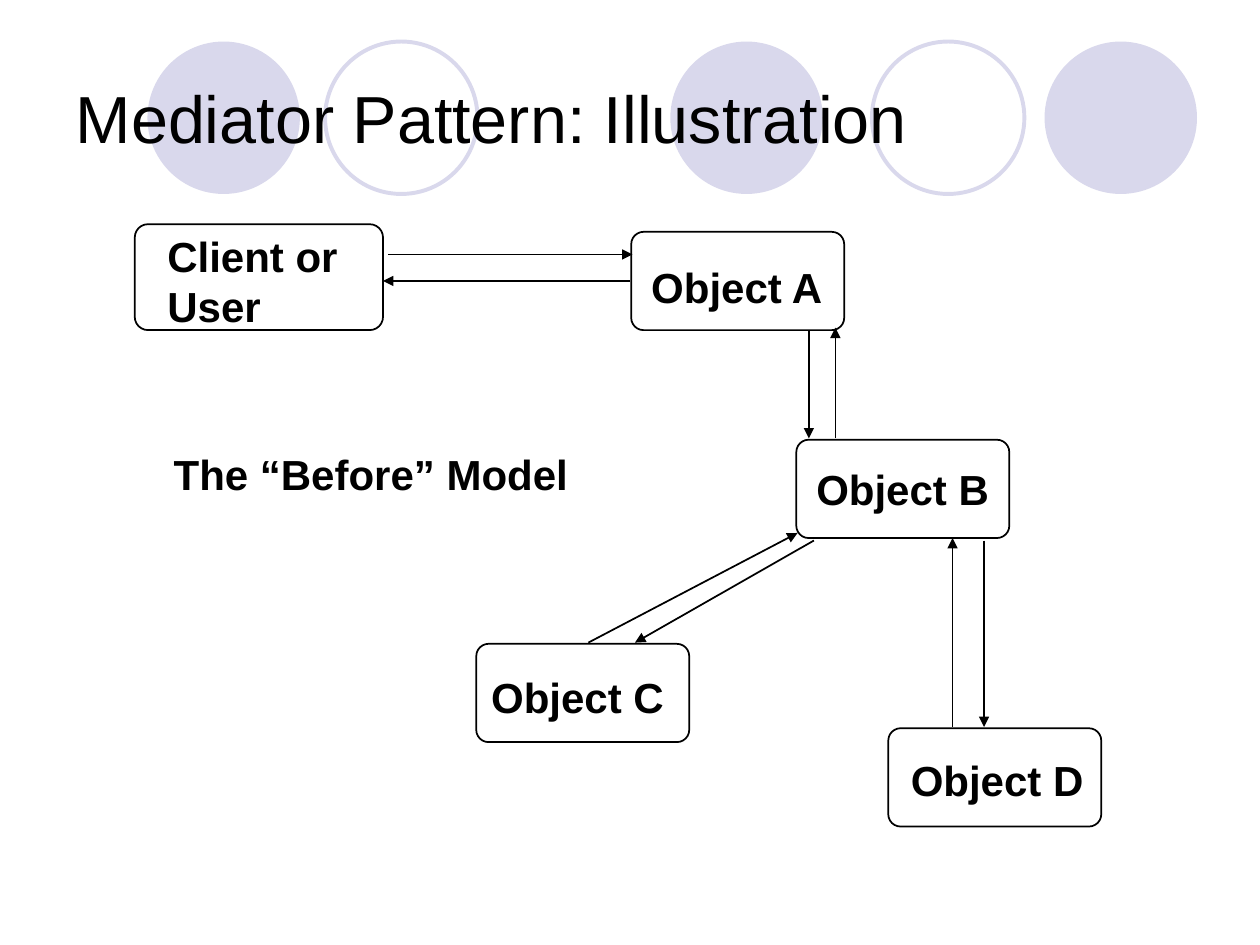
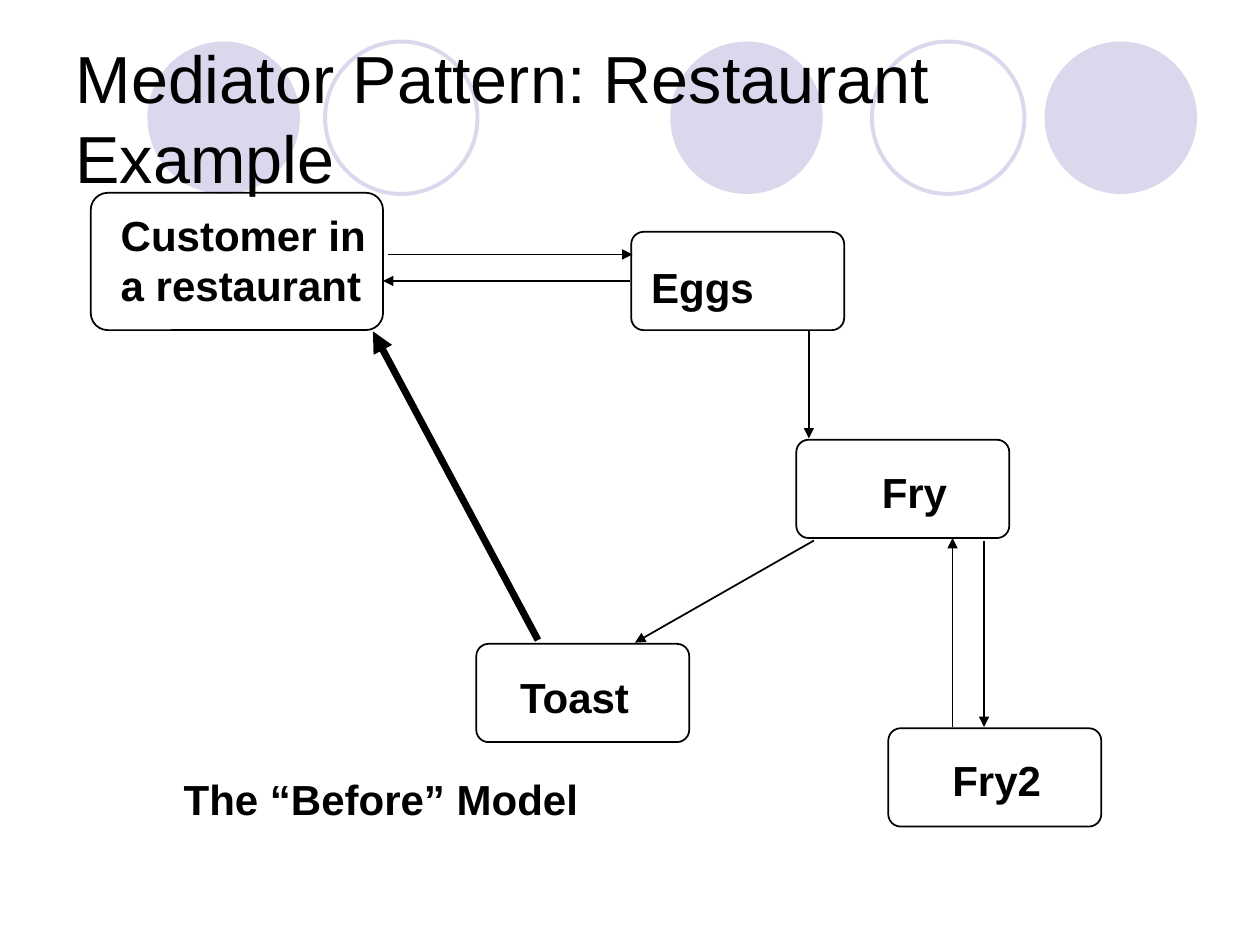
from lxml import etree
from pptx import Presentation
from pptx.dml.color import RGBColor
from pptx.enum.shapes import MSO_CONNECTOR, MSO_SHAPE
from pptx.enum.text import MSO_ANCHOR, MSO_AUTO_SIZE, PP_ALIGN
from pptx.oxml.ns import qn
from pptx.util import Inches, Pt

ELLIPSE, ROUNDED = MSO_SHAPE.OVAL, MSO_SHAPE.ROUNDED_RECTANGLE
STRAIGHT = MSO_CONNECTOR.STRAIGHT
MIDDLE, TOP = MSO_ANCHOR.MIDDLE, MSO_ANCHOR.TOP
NO_FIT, GROW = MSO_AUTO_SIZE.NONE, MSO_AUTO_SIZE.SHAPE_TO_FIT_TEXT
LEFT = PP_ALIGN.LEFT

COLORS = {"ink": "000000", "lilac": "D9D8EC"}
FONT = "Arial"
TITLE_ONLY = 5
COLUMNS, ROWS = 100, 75

# Shared geometry, in grid columns and rows
TITLE_BOX = (5, 3, 90, 12.5)
CIRCLE_TOP, CIRCLE_SIZE = 3.3, 12.1
CIRCLES = [(53.2, True), (82.9, True), (11.7, True), (69.2, False), (25.8, False)]
STATION_SIZE = (16.9, 7.8)
STATIONS = {"A": (50.1, 18.4), "B": (63.2, 34.9), "C": (37.8, 51.1), "D": (70.5, 57.8)}
LABEL_HEIGHT, LINE_HEIGHT = 5, 4
MESSAGES = {
    "C to B": (46.7, 51, 63.3, 42.3),
    "B to C": (64.6, 42.9, 50.4, 51),
    "D to B": (75.6, 57.7, 75.6, 42.7),
    "B to D": (78.1, 42.9, 78.1, 57.7),
    "A to B": (64.2, 26.3, 64.2, 34.8),
    "B to A": (66.3, 34.8, 66.3, 26),
    "client to A": (30.8, 20.2, 50.2, 20.2),
    "A to client": (50, 22.3, 30.4, 22.3),
    "C to client": (42.7, 50.8, 29.6, 26.3),
}


class Deck:
    """Holds the style, the grid and the current slide."""

    def __init__(self):
        self.prs = Presentation()
        self.prs.slide_width, self.prs.slide_height = Inches(10), Inches(7.5)
        self.layout = self.prs.slide_layouts[TITLE_ONLY]
        self.slide = None

    def grid(self, *values):
        """Turn alternating columns and rows into lengths."""
        steps = (self.prs.slide_width / COLUMNS, self.prs.slide_height / ROWS)
        return [round(value * steps[i % 2]) for i, value in enumerate(values)]

    def color(self, name):
        return RGBColor.from_string(COLORS[name])

    def style_text(self, frame, size, bold=False):
        for paragraph in frame.paragraphs:
            paragraph.alignment = LEFT
            paragraph.line_spacing = 1.0
            for run in paragraph.runs:
                run.font.name, run.font.size = FONT, Pt(size)
                run.font.bold = bold
                run.font.color.rgb = self.color("ink")

    def new_slide(self, title):
        self.slide = self.prs.slides.add_slide(self.layout)
        heading = self.slide.shapes.title
        heading.left, heading.top, heading.width, heading.height = self.grid(*TITLE_BOX)
        frame = heading.text_frame
        frame.text = title
        frame.auto_size, frame.vertical_anchor = NO_FIT, MIDDLE
        self.style_text(frame, 38)

    def outline(self, preset, box, line=None, width=1, fill=None):
        shape = self.slide.shapes.add_shape(preset, *self.grid(*box))
        shape.shadow.inherit = False
        if fill:
            shape.fill.solid()
            shape.fill.fore_color.rgb = self.color(fill)
        else:
            shape.fill.background()
        if line:
            shape.line.color.rgb = self.color(line)
            shape.line.width = Pt(width)
        else:
            shape.line.fill.background()
        return shape

    def circle_band(self):
        """Draw the circles and move them to the layout, behind every title."""
        for position, (left, filled) in enumerate(CIRCLES):
            box = (left, CIRCLE_TOP, CIRCLE_SIZE, CIRCLE_SIZE)
            style = {"fill": "lilac"} if filled else {"line": "lilac", "width": 2.25}
            circle = self.outline(ELLIPSE, box, **style)
            self.layout.shapes._spTree.insert(2 + position, circle._element)

    def node(self, box):
        self.outline(ROUNDED, box, line="ink").adjustments[0] = 0.125

    def label(self, text, left, top, width):
        height = LABEL_HEIGHT + LINE_HEIGHT * text.count("\n")
        box = self.slide.shapes.add_textbox(*self.grid(left, top, width, height))
        frame = box.text_frame
        frame.text = text
        frame.word_wrap, frame.auto_size = False, GROW
        frame.vertical_anchor = TOP
        self.style_text(frame, 24, bold=True)

    def arrow(self, message, width=1):
        ends = self.grid(*MESSAGES[message])
        arrow = self.slide.shapes.add_connector(STRAIGHT, *ends)
        arrow.line.color.rgb = self.color("ink")
        arrow.line.width = Pt(width)
        etree.SubElement(arrow.line._get_or_add_ln(), qn("a:tailEnd"), type="triangle")
        etree.SubElement(arrow._element.spPr, qn("a:effectLst"))

    def diagram(self, client_box, messages, labels):
        self.node(client_box)
        for corner in STATIONS.values():
            self.node(corner + STATION_SIZE)
        for message in messages:
            self.arrow(message)
        for label in labels:
            self.label(*label)


def main():
    deck = Deck()

    # General illustration: every object talks to its neighbours
    deck.new_slide("Mediator Pattern: Illustration")
    deck.circle_band()
    deck.diagram(
        client_box=(10.7, 17.8, 19.7, 8.4),
        messages=[name for name in MESSAGES if name != "C to client"],
        labels=[
            ("Client or\nUser", 12.3, 17.8, 16.4),
            ("Object A", 50.7, 20.3, 15.8),
            ("Object C", 38, 52.8, 15.8),
            ("Object D", 71.3, 59.4, 15.8),
            ("Object B", 63.8, 36.3, 15.8),
            ("The “Before” Model", 12.8, 35.1, 33.4),
        ],
    )

    # Restaurant example: the toast goes straight back to the customer
    deck.new_slide("Mediator Pattern: Restaurant Example")
    one_way = ("C to B", "B to A", "C to client")
    deck.diagram(
        client_box=(7.2, 15.3, 23.2, 10.9),
        messages=[name for name in MESSAGES if name not in one_way],
        labels=[
            ("Customer in\na restaurant", 8.6, 16.1, 22.4),
            ("Eggs", 50.7, 20.3, 10.3),
            ("Toast", 40.3, 52.8, 11),
            ("Fry2", 74.6, 59.4, 9.2),
            ("Fry", 69, 36.5, 7.3),
            ("The “Before” Model", 13.6, 60.9, 33.4),
        ],
    )
    deck.arrow("C to client", width=4)

    deck.prs.save("out.pptx")


if __name__ == "__main__":
    main()
